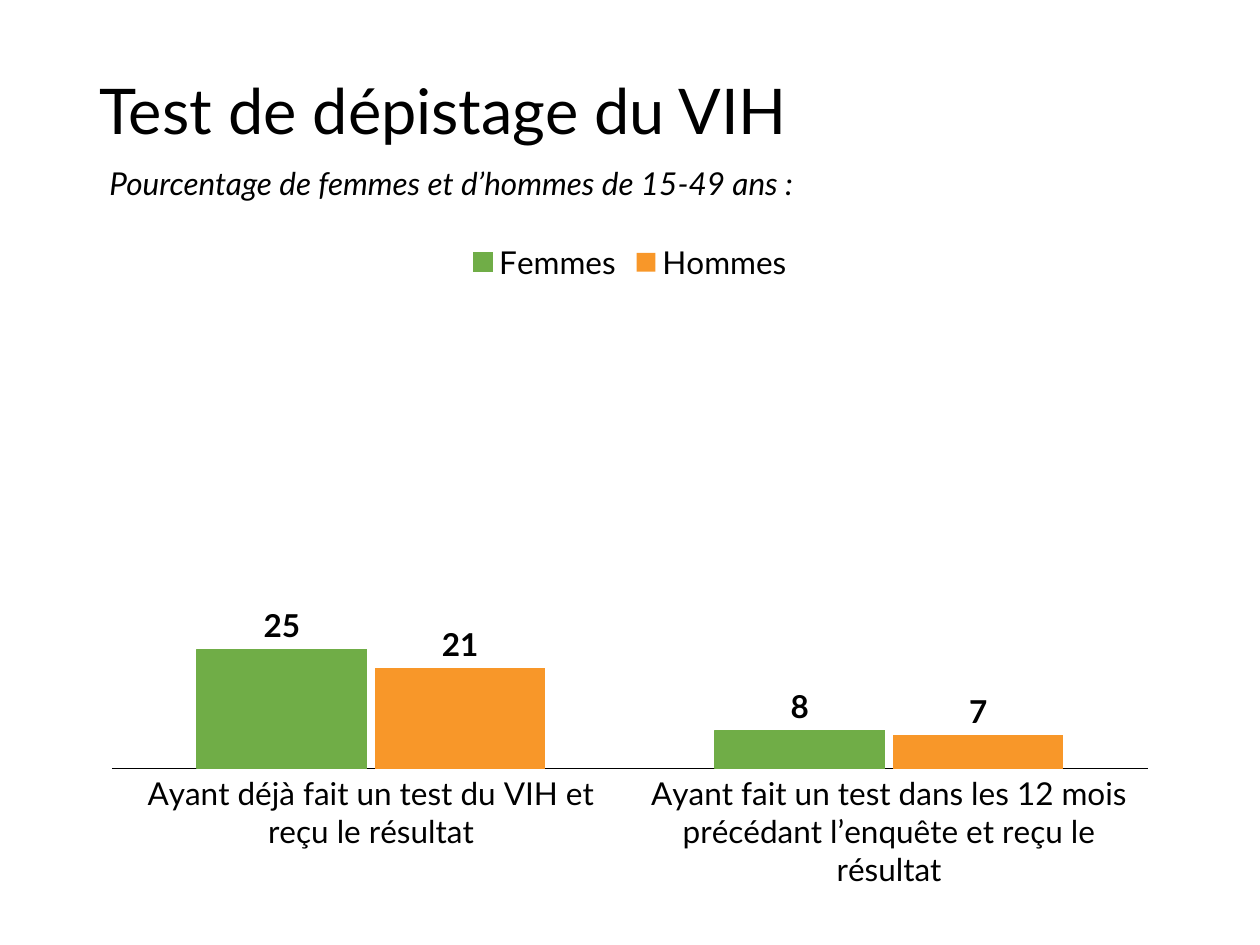
from lxml.etree import SubElement
from pptx import Presentation
from pptx.chart.data import CategoryChartData
from pptx.dml.color import RGBColor
from pptx.enum.chart import (XL_CHART_TYPE, XL_LABEL_POSITION,
                             XL_LEGEND_POSITION, XL_TICK_MARK)
from pptx.enum.text import MSO_ANCHOR
from pptx.oxml.ns import qn
from pptx.util import Inches, Pt

WIDE, HIGH = Inches(10), Inches(7.5)
LEFT, SPAN = 0.069, 0.862
FACE = "Lato"
BLACK = RGBColor(0, 0, 0)
GREEN = RGBColor(0x70, 0xAD, 0x47)
ORANGE = RGBColor(0xF8, 0x97, 0x29)
GROUPS = ["Ayant déjà fait un test du VIH et reçu le résultat",
          "Ayant fait un test dans les 12 mois précédant l’enquête et reçu le résultat"]
SERIES = [("Femmes", (25, 8), GREEN), ("Hommes", (21, 7), ORANGE)]
PLOT = {"x": 0.023, "y": 0.096, "w": 0.954, "h": 0.716}


def place(left, top, width, height):
    """Turn shares of the slide into lengths."""
    return (round(left * WIDE), round(top * HIGH),
            round(width * WIDE), round(height * HIGH))


def style(font, size=18, bold=False, italic=False):
    """Give a font the common face and colour."""
    font.name, font.size = FACE, Pt(size)
    font.bold, font.italic = bold, italic
    font.color.rgb = BLACK


def add_text(slide, box, text, size, anchor, italic=False):
    """Add one line of text."""
    frame = slide.shapes.add_textbox(*place(*box)).text_frame
    frame.word_wrap = True
    frame.vertical_anchor = anchor
    line = frame.paragraphs[0]
    line.text = text
    line.line_spacing = 0.9
    style(line.font, size, italic=italic)


def set_plot(chart):
    """Fix the inner plot area as shares of the chart."""
    area = chart.plots[0]._element.getparent()
    layout = area.find(qn("c:layout"))
    if layout is None:
        layout = area.makeelement(qn("c:layout"))
        area.insert(0, layout)
    manual = SubElement(layout, qn("c:manualLayout"))
    SubElement(manual, qn("c:layoutTarget")).set("val", "inner")
    for side in "xy":
        SubElement(manual, qn(f"c:{side}Mode")).set("val", "edge")
    for key, share in PLOT.items():
        SubElement(manual, qn(f"c:{key}")).set("val", str(share))


def set_axes(chart):
    """Show the group axis and hide the value axis."""
    base, scale = chart.category_axis, chart.value_axis
    base.major_tick_mark = base.minor_tick_mark = XL_TICK_MARK.NONE
    base.format.line.color.rgb = BLACK
    base.format.line.width = Pt(0.75)
    style(base.tick_labels.font)
    scale.minimum_scale, scale.maximum_scale = 0, 100
    scale.has_major_gridlines = False
    scale.visible = False


def paint(series, color):
    """Colour a series and label its bars."""
    series.format.fill.solid()
    series.format.fill.fore_color.rgb = color
    labels = series.data_labels
    labels.show_value = True
    labels.position = XL_LABEL_POSITION.OUTSIDE_END
    style(labels.font, bold=True)


def add_bars(slide, box):
    """Add the column chart."""
    data = CategoryChartData()
    data.categories = GROUPS
    for name, values, _ in SERIES:
        data.add_series(name, values)
    chart = slide.shapes.add_chart(
        XL_CHART_TYPE.COLUMN_CLUSTERED, *place(*box), data).chart
    style(chart.font)
    chart.has_title = False
    chart.has_legend = True
    chart.legend.position = XL_LEGEND_POSITION.TOP
    chart.legend.include_in_layout = False
    style(chart.legend.font)
    bars = chart.plots[0]
    bars.gap_width, bars.overlap = 100, -5
    bars.vary_by_categories = False
    for series, (_, _, color) in zip(bars.series, SERIES):
        paint(series, color)
    edge = bars.series[0].format.line
    edge.color.rgb = GREEN
    edge.width = Pt(0.75)
    set_axes(chart)
    set_plot(chart)


def main():
    """Build and save the slide."""
    deck = Presentation()
    deck.slide_width, deck.slide_height = WIDE, HIGH
    slide = deck.slides.add_slide(deck.slide_layouts[6])
    add_text(slide, (LEFT, 0.053, SPAN, 0.136),
             "Test de dépistage du VIH", 36, MSO_ANCHOR.MIDDLE)
    add_text(slide, (0.077, 0.172, SPAN, 0.105),
             "Pourcentage de femmes et d’hommes de 15-49 ans :",
             18, MSO_ANCHOR.TOP, italic=True)
    add_bars(slide, (LEFT, 0.241, SPAN, 0.705))
    deck.save("out.pptx")


if __name__ == "__main__":
    main()
